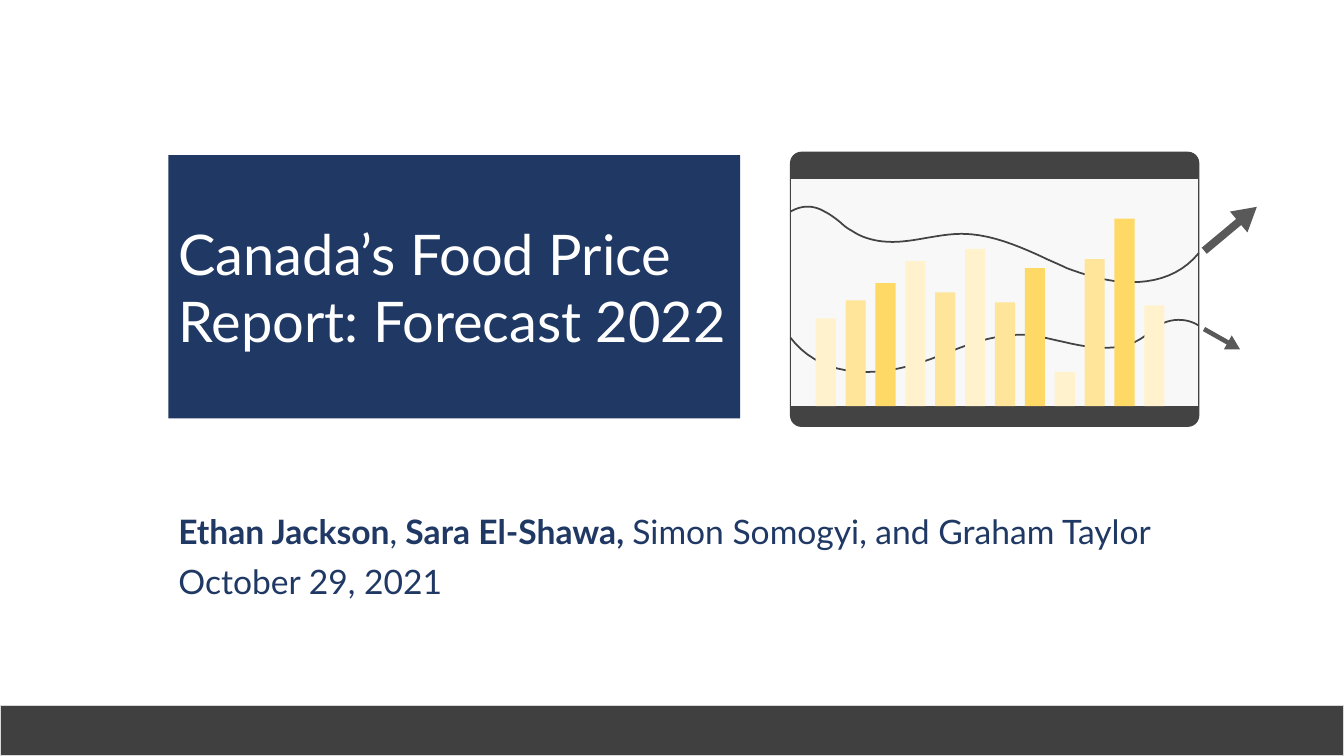
from dataclasses import dataclass

from pptx import Presentation
from pptx.dml.color import RGBColor
from pptx.enum.shapes import MSO_SHAPE
from pptx.enum.text import MSO_ANCHOR, MSO_AUTO_SIZE, PP_ALIGN
from pptx.util import Inches, Pt


@dataclass(frozen=True)
class Theme:
    font: str = "Lato"
    title_size: float = 40
    body_size: float = 24
    navy: str = "203864"
    white: str = "FFFFFF"
    footer: str = "404040"
    footer_edge: str = "D9D9D9"
    frame: str = "434343"
    screen: str = "F8F8F8"
    arrow: str = "595959"
    pale: str = "FFF2CC"
    light: str = "FFE599"
    gold: str = "FFD966"


theme = Theme()


def add_block(shapes, preset, box, fill, edge=None, edge_width=0.75):
    block = shapes.add_shape(preset, *map(Inches, box))
    block.shadow.inherit = False
    block.fill.solid()
    block.fill.fore_color.rgb = RGBColor.from_string(fill)
    if edge:
        block.line.color.rgb = RGBColor.from_string(edge)
        block.line.width = Pt(edge_width)
    else:
        block.line.fill.background()
    return block


def curve_points(start, segments, steps=10):
    points = [tuple(map(Inches, start))]
    for first, second, end in segments:
        for step in range(1, steps + 1):
            t = step / steps
            u = 1 - t
            points.append(tuple(
                Inches(u**3 * a + 3 * u * u * t * b + 3 * u * t * t * c + t**3 * d)
                for a, b, c, d in zip(start, first, second, end)))
        start = end
    return points


presentation = Presentation()
presentation.slide_width = Inches(13.33)
presentation.slide_height = Inches(7.5)
slide = presentation.slides.add_slide(presentation.slide_layouts[5])

add_block(slide.shapes, MSO_SHAPE.RECTANGLE, (0, 7, 13.33, 0.5),
          theme.footer, theme.footer_edge, 1)

title = slide.shapes.title
title.left, title.top, title.width, title.height = map(Inches, (1.67, 1.54, 5.67, 2.61))
title.fill.solid()
title.fill.fore_color.rgb = RGBColor.from_string(theme.navy)
title.text_frame.text = "Canada’s Food Price Report: Forecast 2022"
title.text_frame.word_wrap = True
title.text_frame.auto_size = MSO_AUTO_SIZE.NONE
title.text_frame.vertical_anchor = MSO_ANCHOR.MIDDLE
heading = title.text_frame.paragraphs[0]
heading.alignment = PP_ALIGN.LEFT
heading.font.name = theme.font
heading.font.size = Pt(theme.title_size)
heading.font.color.rgb = RGBColor.from_string(theme.white)

authors_and_date = [
    [("Ethan Jackson", True), (",", False), (" Sara El-Shawa, ", True),
     ("Simon Somogyi, and Graham Taylor", False)],
    [("October 29, 2021", False)],
]
byline = slide.shapes.add_textbox(*map(Inches, (1.67, 5.06, 10.75, 1.03))).text_frame
byline.word_wrap = True
for index, parts in enumerate(authors_and_date):
    paragraph = byline.add_paragraph() if index else byline.paragraphs[0]
    paragraph.line_spacing = 0.9
    paragraph.space_before = Pt(10 if index else 0)
    for words, bold in parts:
        run = paragraph.add_run()
        run.text = words
        run.font.name = theme.font
        run.font.size = Pt(theme.body_size)
        run.font.bold = bold
        run.font.color.rgb = RGBColor.from_string(theme.navy)

monitor = slide.shapes.add_group_shape().shapes
casing = add_block(monitor, MSO_SHAPE.ROUNDED_RECTANGLE, (7.84, 1.51, 4.05, 2.72),
                   theme.frame, theme.frame)
casing.adjustments[0] = 0.04
add_block(monitor, MSO_SHAPE.RECTANGLE, (7.84, 1.77, 4.05, 2.26), theme.screen, theme.frame)

trends = [
    ((7.84, 2.1), [
        ((7.89, 2.07), (7.95, 2.05), (8.01, 2.05)),
        ((8.07, 2.05), (8.13, 2.07), (8.18, 2.1)),
        ((8.24, 2.13), (8.29, 2.17), (8.34, 2.21)),
        ((8.37, 2.24), (8.41, 2.27), (8.45, 2.29)),
        ((8.55, 2.36), (8.69, 2.4), (8.85, 2.4)),
        ((8.96, 2.4), (9.08, 2.38), (9.19, 2.36)),
        ((9.31, 2.34), (9.42, 2.32), (9.54, 2.32)),
        ((9.82, 2.32), (10.1, 2.44), (10.34, 2.55)),
        ((10.42, 2.59), (10.5, 2.62), (10.58, 2.66)),
        ((10.82, 2.75), (11.03, 2.8), (11.22, 2.8)),
        ((11.48, 2.8), (11.72, 2.72), (11.89, 2.51)),
    ]),
    ((7.84, 3.35), [
        ((8, 3.56), (8.25, 3.69), (8.59, 3.69)),
        ((8.76, 3.69), (8.94, 3.66), (9.15, 3.59)),
        ((9.4, 3.51), (9.75, 3.32), (10.12, 3.32)),
        ((10.26, 3.32), (10.4, 3.36), (10.54, 3.39)),
        ((10.67, 3.42), (10.81, 3.45), (10.96, 3.45)),
        ((11.09, 3.45), (11.19, 3.43), (11.28, 3.38)),
        ((11.38, 3.33), (11.45, 3.24), (11.55, 3.2)),
        ((11.65, 3.16), (11.78, 3.16), (11.89, 3.23)),
    ]),
]
for start, segments in trends:
    points = curve_points(start, segments)
    outline = monitor.build_freeform(*points[0])
    outline.add_line_segments(points[1:], close=False)
    trend = outline.convert_to_shape()
    trend.shadow.inherit = False
    trend.fill.background()
    trend.line.color.rgb = RGBColor.from_string(theme.frame)
    trend.line.width = Pt(1.25)

bars = [
    (0.87, theme.pale), (1.05, theme.light), (1.22, theme.gold),
    (1.44, theme.pale), (1.13, theme.light), (1.56, theme.pale),
    (1.03, theme.light), (1.37, theme.gold), (0.34, theme.pale),
    (1.46, theme.light), (1.86, theme.gold), (1, theme.pale),
]
first_bar, last_bar, baseline = 8.09, 11.35, 4.03
pitch = (last_bar - first_bar) / (len(bars) - 1)
for index, (height, color) in enumerate(bars):
    add_block(monitor, MSO_SHAPE.RECTANGLE,
              (first_bar + index * pitch, baseline - height, 0.2, height), color)

for box, angle in [((12.07, 1.93, 0.27, 0.68), 50.1), ((12.04, 3.16, 0.16, 0.41), 119.4)]:
    arrow = add_block(slide.shapes, MSO_SHAPE.UP_ARROW, box, theme.arrow)
    arrow.rotation = angle
    arrow.adjustments[0] = 0.29
    arrow.adjustments[1] = 0.87

presentation.save("out.pptx")
